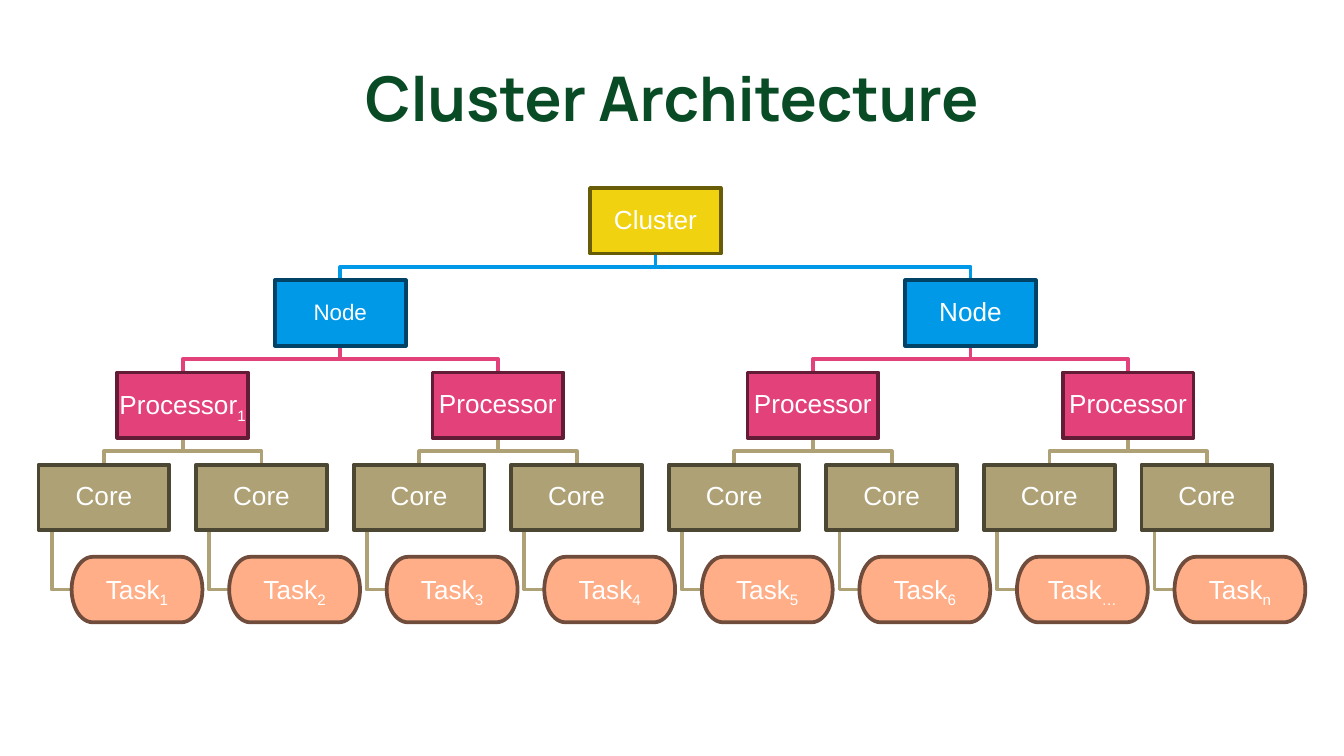
from pptx import Presentation
from pptx.dml.color import RGBColor
from pptx.enum.shapes import MSO_SHAPE
from pptx.enum.text import MSO_ANCHOR, PP_ALIGN
from pptx.util import Inches, Pt

RECT = MSO_SHAPE.RECTANGLE
PILL = MSO_SHAPE.FLOWCHART_TERMINATOR
MIDDLE = MSO_ANCHOR.MIDDLE
CENTER = PP_ALIGN.CENTER

THEME = {
    "title": {"font": "Manrope", "size": 33, "color": "084B25", "bold": True},
    "label": {"font": "Arial", "size": 14, "color": "FFFFFF", "bold": False},
    "small": 12,
    "line": 2,
    "cluster": ("F0D210", "695C07"),
    "node": ("0099E8", "004366"),
    "chip": ("E3417A", "631C35"),
    "core": ("AEA175", "4C4733"),
    "task": ("FFAE88", "704C3C"),
}

deck = Presentation()
deck.slide_width = Inches(10)
deck.slide_height = deck.slide_width * 9 // 16
slide = deck.slides.add_slide(deck.slide_layouts[6])
shapes = slide.shapes

W, H = deck.slide_width, deck.slide_height
COL, ROW = W / 8.53, H / 8.2
BOX_W, BOX_H = COL * 0.83, ROW * 0.71
LEFT, TOP = COL * 0.66, ROW * 2.04
SHIFT, STEM = COL * 0.21, BOX_W * 0.1


def write(shape, text, sub="", font="Arial", size=14, color="FFFFFF",
          bold=False, inset=0.01, wrap=False, lead=0.9):
    frame = shape.text_frame
    frame.word_wrap = wrap
    frame.vertical_anchor = MIDDLE
    frame.margin_left = frame.margin_right = Inches(inset)
    frame.margin_top = frame.margin_bottom = Inches(inset)
    para = frame.paragraphs[0]
    para.alignment = CENTER
    para.line_spacing = lead
    for part, base in ((text, 0), (sub, -25000)):
        if part:
            run = para.add_run()
            run.text = part
            run.font.name = font
            run.font.size = Pt(size)
            run.font.bold = bold
            run.font.color.rgb = RGBColor.from_string(color)
            if base:
                run.font._element.set("baseline", str(base))


def paint(shape, line, fill=None):
    shape.shadow.inherit = False
    if fill:
        shape.fill.solid()
        shape.fill.fore_color.rgb = RGBColor.from_string(fill)
    else:
        shape.fill.background()
    shape.line.color.rgb = RGBColor.from_string(line)
    shape.line.width = Pt(THEME["line"])


tiers = [
    ("cluster", "Cluster", [""]),
    ("node", "Node", [""] * 2),
    ("chip", "Processor", ["1"] + [""] * 3),
    ("core", "Core", [""] * 8),
    ("task", "Task", ["1", "2", "3", "4", "5", "6", "…", "n"]),
]

lines, boxes = [], []
for row, (kind, name, subs) in enumerate(tiers):
    span = 8 / len(subs)
    top = TOP + row * ROW
    base = top - ROW + BOX_H
    for i, sub in enumerate(subs):
        mid = LEFT + ((i + 0.5) * span - 0.5) * COL
        left = mid - BOX_W / 2
        if kind == "task":
            stem, half = left + STEM, top + BOX_H / 2
            left += SHIFT
            lines.append(("core", [(stem, base), (stem, half), (left, half)]))
        elif row:
            root = mid + (0.5 - i % 2) * span * COL
            bend = (base + top) / 2
            lines.append((kind, [(root, base), (root, bend), (mid, bend), (mid, top)]))
        size = THEME["small"] if kind == "node" and i == 0 else THEME["label"]["size"]
        boxes.append((kind, name, sub, left, top, size))

for kind, points in lines:
    path = shapes.build_freeform(*map(round, points[0]))
    path.add_line_segments([(round(x), round(y)) for x, y in points[1:]], close=False)
    paint(path.convert_to_shape(), THEME[kind][0])

for kind, name, sub, left, top, size in boxes:
    form = PILL if kind == "task" else RECT
    box = shapes.add_shape(form, *map(round, (left, top, BOX_W, BOX_H)))
    fill, edge = THEME[kind]
    paint(box, edge, fill)
    write(box, name, sub, **{**THEME["label"], "size": size})

area = (W / 100 * 15.45, H / 100 * 6.67, W / 100 * 69.1, H / 100 * 12.33)
title = shapes.add_textbox(*map(round, area))
write(title, "Cluster Architecture", inset=0.1, wrap=True, lead=1.0, **THEME["title"])

deck.save("out.pptx")
